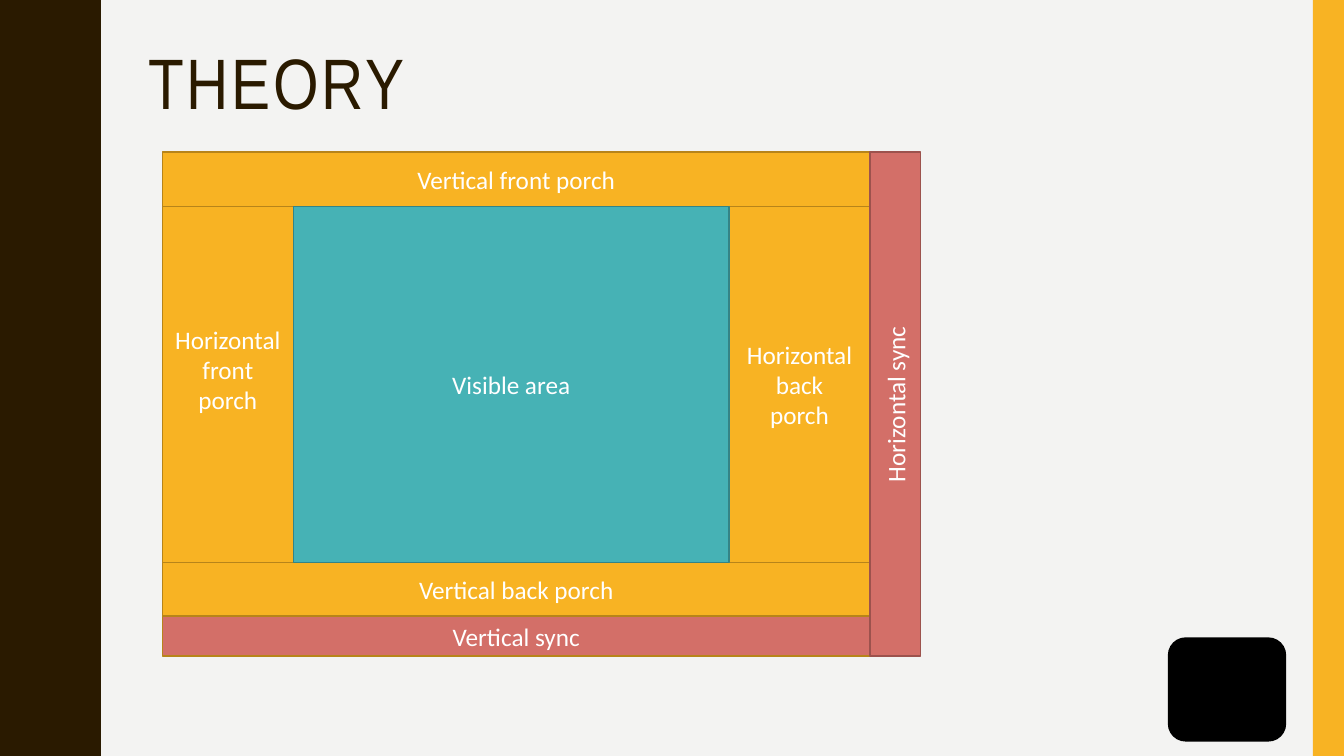
from pptx import Presentation
from pptx.dml.color import RGBColor
from pptx.enum import shapes, text
from pptx.util import Inches, Pt

BROWN = RGBColor(0x2A, 0x1A, 0x00)
PAPER = RGBColor(0xF3, 0xF3, 0xF2)
AMBER = RGBColor(0xF8, 0xB3, 0x23)
AMBER_EDGE = RGBColor(0xB7, 0x84, 0x1A)
RED = RGBColor(0xD3, 0x6F, 0x68)
RED_EDGE = RGBColor(0x9C, 0x52, 0x4D)
TEAL = RGBColor(0x46, 0xB2, 0xB5)
TEAL_EDGE = RGBColor(0x34, 0x84, 0x86)
BLACK = RGBColor(0, 0, 0)
WHITE = RGBColor(0xFF, 0xFF, 0xFF)


def paint(sp, fill, edge=None):
    sp.shadow.inherit = False
    sp.fill.solid()
    sp.fill.fore_color.rgb = fill
    if edge is None:
        sp.line.fill.background()
    else:
        sp.line.color.rgb = edge
        sp.line.width = Pt(1)


def write(tf, lines, size=18, font="Calibri", color=WHITE, spacing=None,
          align=text.PP_ALIGN.CENTER, anchor=text.MSO_ANCHOR.MIDDLE, line_spacing=1.0):
    tf.word_wrap = True
    tf.auto_size = text.MSO_AUTO_SIZE.NONE
    tf.vertical_anchor = anchor
    for i, line in enumerate(lines.split("\n")):
        p = tf.paragraphs[0] if i == 0 else tf.add_paragraph()
        p.alignment = align
        p.line_spacing = line_spacing
        r = p.add_run()
        r.text = line
        r.font.size = Pt(size)
        r.font.name = font
        r.font.color.rgb = color
        if spacing:
            r.font._element.set("spc", str(spacing * 100))


prs = Presentation()
prs.slide_width = Inches(13.33)
prs.slide_height = Inches(7.5)
s = prs.slides.add_slide(prs.slide_layouts[5])
s.background.fill.solid()
s.background.fill.fore_color.rgb = PAPER

half_wave = [(0.78, 0), (0.78, 0.07), (0.79, 0.14), (0.8, 0.2), (0.81, 0.25),
             (0.83, 0.29), (0.85, 0.33), (0.87, 0.38), (0.89, 0.42), (0.91, 0.46),
             (0.93, 0.5), (0.95, 0.55), (0.96, 0.61), (0.97, 0.68), (0.97, 0.75)]
period = 1.5
wave = half_wave + [(x, period - y) for x, y in reversed(half_wave[:-1])]
edge_points = [(x, y + n * period) for n in range(5) for x, y in wave]
fb = s.shapes.build_freeform(0, 0, scale=Inches(1))
fb.add_line_segments(edge_points + [(0, 7.5)], close=True)
paint(fb.convert_to_shape(), BROWN)

stripe = s.shapes.add_shape(shapes.MSO_SHAPE.RECTANGLE,
                            Inches(13.02), 0, Inches(0.31), Inches(7.5))
paint(stripe, AMBER)
badge = s.shapes.add_shape(shapes.MSO_SHAPE.ROUNDED_RECTANGLE,
                           Inches(11.59), Inches(6.33), Inches(1.16), Inches(1.02))
paint(badge, BLACK, BLACK)

title = s.shapes.title
title.left, title.top = Inches(1.37), Inches(0.42)
title.width, title.height = Inches(11.13), Inches(1.63)
write(title.text_frame, "THEORY", size=51, font="Arial Narrow", color=BROWN, spacing=2,
      align=text.PP_ALIGN.LEFT, anchor=text.MSO_ANCHOR.TOP, line_spacing=0.9)

xs = [1.61, 2.91, 7.23, 8.63, 9.13]
ys = [1.51, 2.05, 5.58, 6.11, 6.51]
areas = [
    ("Vertical front porch", 0, 0, 3, 1, AMBER, AMBER_EDGE),
    ("Vertical back porch", 0, 2, 3, 3, AMBER, AMBER_EDGE),
    ("Vertical sync", 0, 3, 3, 4, RED, AMBER_EDGE),
    ("Horizontal front\nporch", 0, 1, 1, 2, AMBER, AMBER_EDGE),
    ("Horizontal\nback\nporch", 2, 1, 3, 2, AMBER, AMBER_EDGE),
    ("Horizontal sync", 3, 0, 4, 4, RED, RED_EDGE),
    ("Visible area", 1, 1, 2, 2, TEAL, TEAL_EDGE),
]
boxes = {}
for label, x1, y1, x2, y2, fill, edge in areas:
    sp = s.shapes.add_shape(shapes.MSO_SHAPE.RECTANGLE, Inches(xs[x1]), Inches(ys[y1]),
                            Inches(xs[x2] - xs[x1]), Inches(ys[y2] - ys[y1]))
    paint(sp, fill, edge)
    write(sp.text_frame, label)
    boxes[label] = sp

boxes["Horizontal front\nporch"].text_frame.margin_bottom = Inches(0.35)
boxes["Horizontal sync"].text_frame._txBody.bodyPr.set("vert", "vert270")

prs.save("out.pptx")
